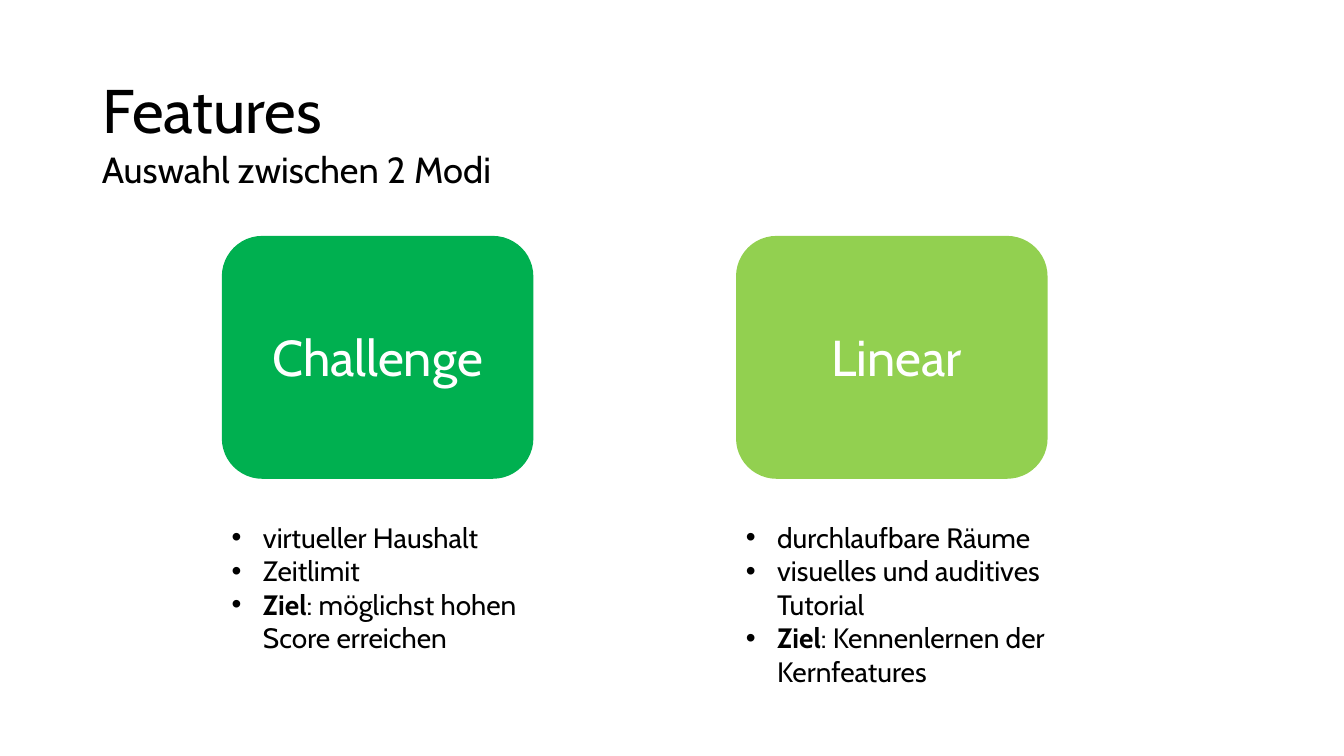
from pptx import Presentation
from pptx.dml.color import RGBColor
from pptx.enum.shapes import MSO_SHAPE
from pptx.enum.text import MSO_ANCHOR, MSO_AUTO_SIZE, PP_ALIGN
from pptx.oxml.xmlchemy import OxmlElement
from pptx.util import Inches, Pt

ROUNDED = MSO_SHAPE.ROUNDED_RECTANGLE
TOP, MIDDLE = MSO_ANCHOR.TOP, MSO_ANCHOR.MIDDLE
NO_FIT = MSO_AUTO_SIZE.NONE
LEFT = PP_ALIGN.LEFT

FONT = "Cabin"
COLORS = {
    "text": "000000",
    "label": "FFFFFF",
    "challenge": "00B050",
    "linear": "92D050",
}


def write(box, paragraphs, place, size, color="text", anchor=TOP,
          spacing=1.0, before=0, bullet=None, indent=0):
    """Place a box and fill it; each paragraph is a list of (text, bold) spans."""
    box.left, box.top, box.width, box.height = [Inches(length) for length in place]
    frame = box.text_frame
    frame.word_wrap = True
    frame.auto_size = NO_FIT
    frame.vertical_anchor = anchor
    for index, spans in enumerate(paragraphs):
        para = frame.add_paragraph() if index else frame.paragraphs[0]
        para.alignment = LEFT
        para.line_spacing = spacing
        para.space_before = Pt(before)
        para.space_after = Pt(0)
        properties = para._p.get_or_add_pPr()
        properties.set("marL", str(Inches(indent)))
        properties.set("indent", str(-Inches(indent)))
        if bullet:
            bullet_font = OxmlElement("a:buFont")
            bullet_font.set("typeface", "Arial")
            mark = OxmlElement("a:buChar")
            mark.set("char", bullet)
            properties.extend([bullet_font, mark])
        else:
            properties.append(OxmlElement("a:buNone"))
        for text, bold in spans:
            span = para.add_run()
            span.text = text
            span.font.name = FONT
            span.font.size = Pt(size)
            span.font.bold = bold
            span.font.color.rgb = RGBColor.from_string(COLORS[color])


deck = Presentation()
deck.slide_width, deck.slide_height = Inches(13.33), Inches(7.5)
page = deck.slides.add_slide(deck.slide_layouts[1])

# Title and subtitle
write(page.shapes.title, [[("Features", False)]], (0.92, 0.4, 11.5, 1.45),
      size=44, anchor=MIDDLE, spacing=0.9)
write(page.placeholders[1], [[("Auswahl zwischen 2 Modi", False)]],
      (0.91, 1.46, 4.47, 0.51), size=25.9, spacing=0.9, before=10)

# Modes: name, fill, card left, label left, label width, list height, features, goal
modes = [
    ("Challenge", "challenge", 2.2, 2.6, 2.45, 1.45,
     ["virtueller Haushalt", "Zeitlimit"], "möglichst hohen Score erreichen"),
    ("Linear", "linear", 7.3, 8.15, 1.69, 1.78,
     ["durchlaufbare Räume", "visuelles und auditives Tutorial"],
     "Kennenlernen der Kernfeatures"),
]
for name, fill, left, label_left, label_width, list_height, features, goal in modes:
    # Card
    card = page.shapes.add_shape(ROUNDED, Inches(left), Inches(2.34),
                                 Inches(3.09), Inches(2.41))
    card.shadow.inherit = False
    card.fill.solid()
    card.fill.fore_color.rgb = RGBColor.from_string(COLORS[fill])
    card.line.fill.background()

    # Label on the card
    label = page.shapes.add_textbox(0, 0, 0, 0)
    write(label, [[(name, False)]], (label_left, 3.19, label_width, 0.71),
          size=36, color="label")

    # Feature list below the card
    items = [[(feature, False)] for feature in features]
    items.append([("Ziel", True), (f": {goal}", False)])
    feature_list = page.shapes.add_textbox(0, 0, 0, 0)
    write(feature_list, items, (left, 5.11, 3.69, list_height),
          size=20, bullet="•", indent=0.31)

deck.save("out.pptx")
